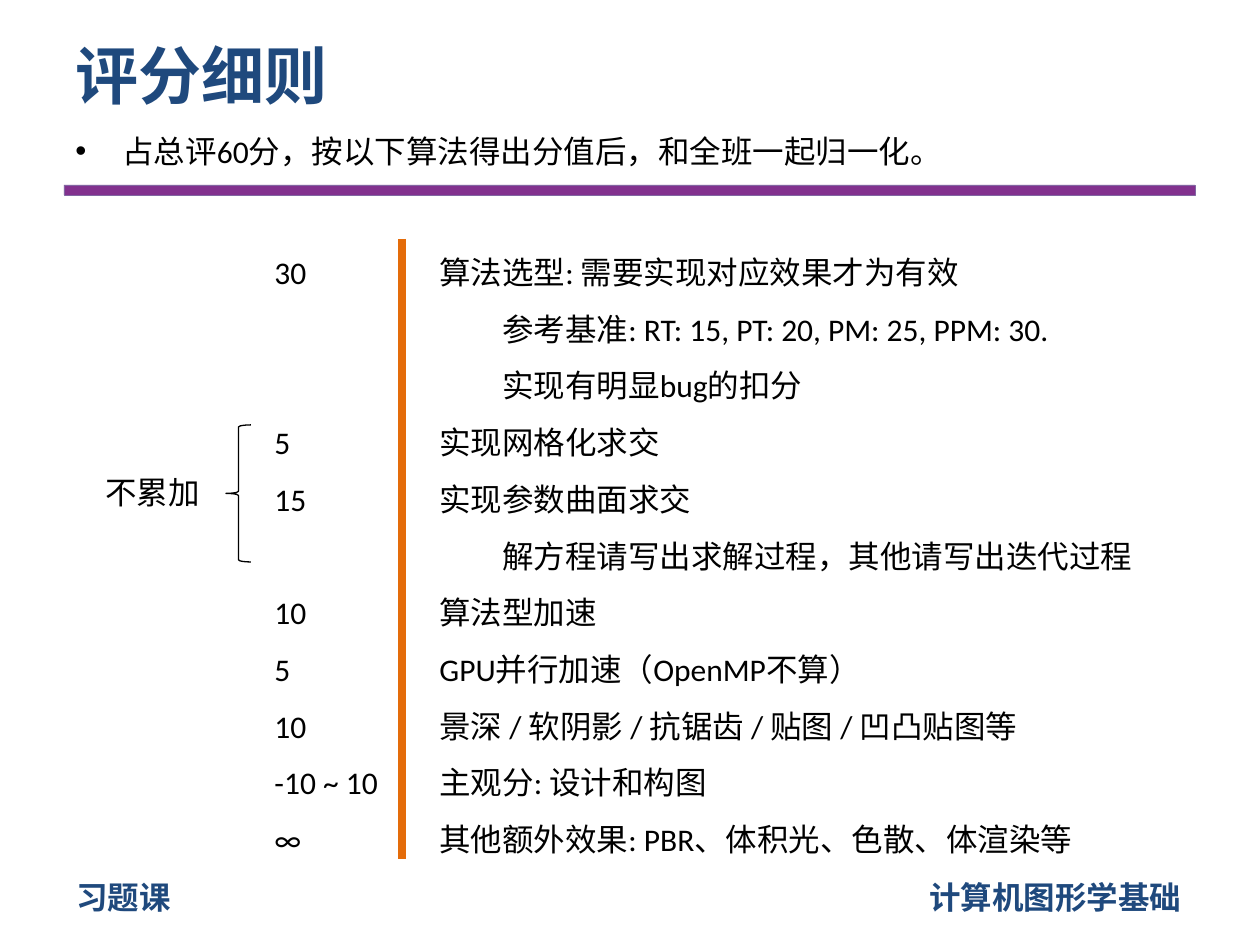
from dataclasses import dataclass
from lxml.etree import SubElement
from pptx import Presentation
from pptx.dml.color import RGBColor
from pptx.enum.shapes import MSO_CONNECTOR, MSO_SHAPE
from pptx.enum.text import MSO_ANCHOR, MSO_AUTO_SIZE, PP_ALIGN
from pptx.oxml.ns import qn
from pptx.util import Emu, Pt


@dataclass(frozen=True)
class Theme:
    navy: RGBColor = RGBColor(0x1F, 0x49, 0x7D)
    black: RGBColor = RGBColor(0, 0, 0)
    purple: RGBColor = RGBColor(0x82, 0x31, 0x8E)
    edge: RGBColor = RGBColor(0x81, 0x66, 0xA2)
    orange: RGBColor = RGBColor(0xE4, 0x6C, 0x0A)
    latin: str = "Calibri"
    cjk: str = "Noto Sans CJK SC"
    head: int = 36
    body: int = 18
    pitch: float = 32.4  # points from one 1.5-spaced row to the next


@dataclass(frozen=True)
class Box:
    x: int
    y: int
    w: int
    h: int


@dataclass(frozen=True)
class Row:
    text: str
    score: str = ""
    level: int = 0


THEME = Theme()
ROWS = [
    Row("算法选型: 需要实现对应效果才为有效", "30"),
    Row("参考基准: RT: 15, PT: 20, PM: 25, PPM: 30.", level=1),
    Row("实现有明显bug的扣分", level=1),
    Row("实现网格化求交", "5"),
    Row("实现参数曲面求交", "15"),
    Row("解方程请写出求解过程，其他请写出迭代过程", level=1),
    Row("算法型加速", "10"),
    Row("GPU并行加速（OpenMP不算）", "5"),
    Row("景深 / 软阴影 / 抗锯齿 / 贴图 / 凹凸贴图等", "10"),
    Row("主观分: 设计和构图", "-10 ~ 10"),
    Row("其他额外效果: PBR、体积光、色散、体渲染等", "∞"),
]


def px(n: int) -> Emu:
    return Emu(round(n * 914400 / 126))


def place(box: Box) -> tuple:
    return px(box.x), px(box.y), px(box.w), px(box.h)


def style(para, size=THEME.body, color=THEME.black, bold=False, name=THEME.latin) -> None:
    font = para.font
    font.size, font.bold, font.name = Pt(size), bold, name
    font.color.rgb = color


def add_text(slide, box: Box, text: str = "", wrap: bool = True):
    frame = slide.shapes.add_textbox(*place(box)).text_frame
    frame.word_wrap = wrap
    frame.text = text
    style(frame.paragraphs[0])
    return frame


def add_list(slide, box: Box, rows: list[Row], field: str) -> None:
    """Write one field of the rows, leaving space where it is empty."""
    frame = add_text(slide, box)
    para, gap = frame.paragraphs[0], 0
    for i, row in enumerate(rows):
        text = getattr(row, field)
        if not text:
            gap += 1
            continue
        if i:
            para = frame.add_paragraph()
        para.text = text
        para.level = row.level
        para.line_spacing = 1.5
        if gap:
            para.space_before = Pt(round(gap * THEME.pitch, 1))
        style(para)
        gap = 0


def add_shape(slide, kind: MSO_SHAPE, box: Box, line: RGBColor, width: float):
    shape = slide.shapes.add_shape(kind, *place(box))
    shape.shadow.inherit = False
    shape.line.color.rgb = line
    shape.line.width = Pt(width)
    return shape


def add_rule(slide, x: int, top: int, end: int) -> None:
    rule = slide.shapes.add_connector(MSO_CONNECTOR.STRAIGHT, px(x), px(top), px(x), px(end))
    rule.line.color.rgb = THEME.orange
    rule.line.width = Pt(4.5)
    SubElement(rule._element.spPr, qn("a:effectLst"))


def add_bullet(para, indent: int) -> None:
    props = para._p.get_or_add_pPr()
    props.set("marL", str(px(indent)))
    props.set("indent", str(-px(indent)))
    SubElement(props, qn("a:buFont"), typeface="Arial")
    SubElement(props, qn("a:buChar"), char="•")


def main() -> None:
    deck = Presentation()
    deck.slide_width, deck.slide_height = px(1260), px(945)
    slide = deck.slides.add_slide(deck.slide_layouts[5])

    # Divider and footer
    bar = add_shape(slide, MSO_SHAPE.RECTANGLE, Box(64, 185, 1131, 10), THEME.edge, 0.25)
    bar.fill.solid()
    bar.fill.fore_color.rgb = THEME.purple
    for x, w, text in ((917, 280, "计算机图形学基础"), (64, 121, "习题课")):
        foot = add_text(slide, Box(x, 872, w, 50), text, wrap=False)
        style(foot.paragraphs[0], color=THEME.navy, bold=True, name=THEME.cjk)

    # Title and summary
    title = slide.shapes.title
    title.left, title.top, title.width, title.height = place(Box(63, 38, 994, 73))
    frame = title.text_frame
    frame.text = "评分细则"
    frame.auto_size = MSO_AUTO_SIZE.NONE
    frame.vertical_anchor = MSO_ANCHOR.MIDDLE
    para = frame.paragraphs[0]
    para.alignment = PP_ALIGN.LEFT
    style(para, THEME.head, THEME.navy, True)
    note = add_text(slide, Box(63, 126, 1134, 62)).paragraphs[0]
    note.text = "占总评60分，按以下算法得出分值后，和全班一起归一化。"
    note._p.remove(note._p.get_or_add_pPr())
    add_bullet(note, 47)
    style(note)

    # Criteria and scores on a shared row pitch
    add_list(slide, Box(427, 228, 853, 643), ROWS, "text")
    add_rule(slide, 402, 239, 859)
    add_list(slide, Box(262, 228, 853, 643), ROWS, "score")

    # Brace over the scores that do not add up
    brace = add_shape(slide, MSO_SHAPE.LEFT_BRACE, Box(226, 425, 25, 137), THEME.black, 0.75)
    brace.fill.background()
    add_text(slide, Box(93, 467, 136, 50), "不累加")

    deck.save("out.pptx")


if __name__ == "__main__":
    main()
